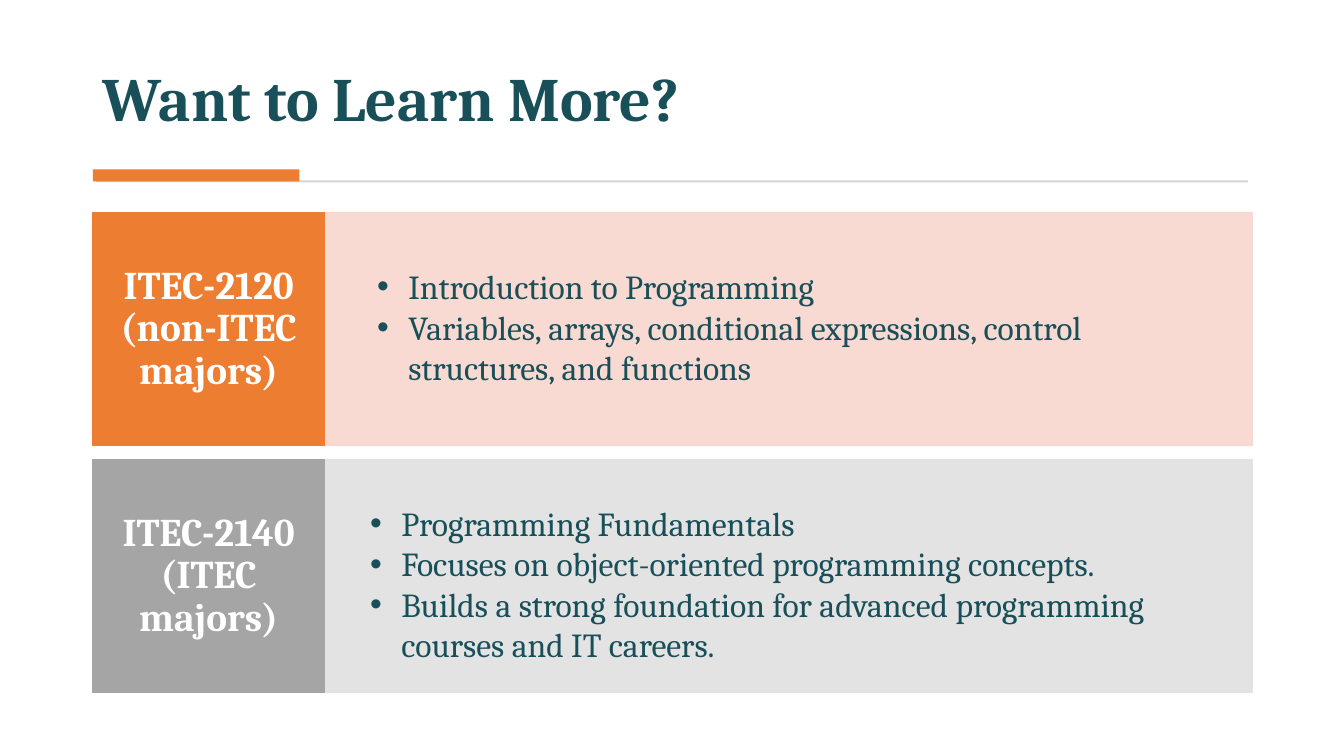
"""Build the "Want to Learn More?" slide with two course rows."""
from dataclasses import dataclass

from lxml.etree import SubElement
from pptx import Presentation
from pptx.dml.color import RGBColor
from pptx.enum.shapes import MSO_SHAPE
from pptx.enum.text import MSO_ANCHOR, MSO_AUTO_SIZE, PP_ALIGN
from pptx.oxml.ns import qn
from pptx.util import Emu, Pt

FONT = "Cambria"
TEAL = RGBColor(0x18, 0x4F, 0x59)
ORANGE = RGBColor(0xED, 0x7D, 0x31)
PEACH = RGBColor(0xF8, 0xD7, 0xCE)
GRAY = RGBColor(0xA5, 0xA5, 0xA5)
PALE_GRAY = RGBColor(0xE1, 0xE1, 0xE1)
RULE_GRAY = RGBColor(0xD5, 0xD5, 0xD5)
WHITE = RGBColor(0xFF, 0xFF, 0xFF)

LEFT, ROW_TOP, ROW_STEP, ROW_H = 92, 211, 245, 231
LABEL_W, PANEL_W = 230, 920


@dataclass(frozen=True)
class Box:
    x: int
    y: int
    w: int
    h: int


@dataclass(frozen=True)
class Course:
    label: str
    topics: tuple[str, ...]
    accent: RGBColor
    tint: RGBColor
    list_box: Box


COURSES = (
    Course(
        "ITEC-2120 (non-ITEC majors)",
        (
            "Introduction to Programming",
            "Variables, arrays, conditional expressions, control structures, and functions",
        ),
        ORANGE, PEACH, Box(314, 259, 896, 172),
    ),
    Course(
        "ITEC-2140 (ITEC majors)",
        (
            "Programming Fundamentals",
            "Focuses on object-oriented programming concepts.",
            "Builds a strong foundation for advanced programming courses and IT careers.",
        ),
        GRAY, PALE_GRAY, Box(307, 494, 934, 172),
    ),
)


def px(n: int) -> Emu:
    return Emu(n * 9144)


def place(sp, box: Box) -> None:
    sp.left, sp.top, sp.width, sp.height = map(px, (box.x, box.y, box.w, box.h))


def style(font, size: int, color: RGBColor, bold: bool = False) -> None:
    font.name, font.size, font.bold = FONT, Pt(size), bold
    font.color.rgb = color


def add_rect(slide, box: Box, color: RGBColor, outlined: bool = False):
    sp = slide.shapes.add_shape(MSO_SHAPE.RECTANGLE, *map(px, (box.x, box.y, box.w, box.h)))
    sp.shadow.inherit = False
    sp.fill.solid()
    sp.fill.fore_color.rgb = color
    if outlined:
        sp.line.color.rgb = color
        sp.line.width = Pt(1)
    else:
        sp.line.fill.background()
    return sp


def set_alpha(sp, percent: int) -> None:
    for clr in sp._element.spPr.iter(qn("a:srgbClr")):
        SubElement(clr, qn("a:alpha")).set("val", str(percent * 1000))


def set_title(sp, text: str) -> None:
    place(sp, Box(LEFT, 28, 1149, 111))
    tf = sp.text_frame
    tf.text = text
    tf.auto_size = MSO_AUTO_SIZE.NONE
    tf.vertical_anchor = MSO_ANCHOR.BOTTOM
    p = tf.paragraphs[0]
    p.alignment, p.line_spacing = PP_ALIGN.LEFT, 0.9
    style(p.runs[0].font, 44, TEAL, bold=True)


def add_label(slide, box: Box, course: Course) -> None:
    sp = add_rect(slide, box, course.accent, outlined=True)
    tf = sp.text_frame
    tf.text = course.label
    tf.word_wrap = True
    tf.vertical_anchor = MSO_ANCHOR.MIDDLE
    tf.margin_left = tf.margin_right = px(12)
    tf.margin_top = tf.margin_bottom = px(23)
    p = tf.paragraphs[0]
    p.alignment, p.line_spacing = PP_ALIGN.CENTER, 0.9
    style(p.runs[0].font, 28, WHITE, bold=True)


def set_topics(slide, sp, course: Course) -> None:
    place(sp, course.list_box)
    slide.shapes._spTree.append(sp._element)
    tf = sp.text_frame
    tf.text = "\n".join(course.topics)
    tf.auto_size = MSO_AUTO_SIZE.NONE
    for p in tf.paragraphs:
        p.space_before = Pt(0)
        pPr = p._p.get_or_add_pPr()
        pPr.set("marL", str(px(81)))
        pPr.set("indent", str(px(-31)))
        SubElement(pPr, qn("a:buFont")).set("typeface", "Arial")
        SubElement(pPr, qn("a:buChar")).set("char", "•")
        style(p.runs[0].font, 24, TEAL)


def main() -> None:
    prs = Presentation()
    prs.slide_width, prs.slide_height = px(1333), px(750)
    slide = prs.slides.add_slide(prs.slide_layouts[3])
    set_title(slide.shapes.title, "Want to Learn More?")
    add_rect(slide, Box(95, 179, 1143, 2), RULE_GRAY)
    add_rect(slide, Box(LEFT, 168, 205, 12), ORANGE)
    for i, course in enumerate(COURSES):
        y = ROW_TOP + i * ROW_STEP
        panel = add_rect(slide, Box(LEFT + LABEL_W, y, PANEL_W, ROW_H), course.tint, outlined=True)
        set_alpha(panel, 90)
        add_label(slide, Box(LEFT, y, LABEL_W, ROW_H), course)
    bodies = [sp for sp in slide.placeholders if sp.placeholder_format.idx in (1, 2)]
    for sp, course in zip(bodies, COURSES):
        set_topics(slide, sp, course)
    prs.save("out.pptx")


if __name__ == "__main__":
    main()
